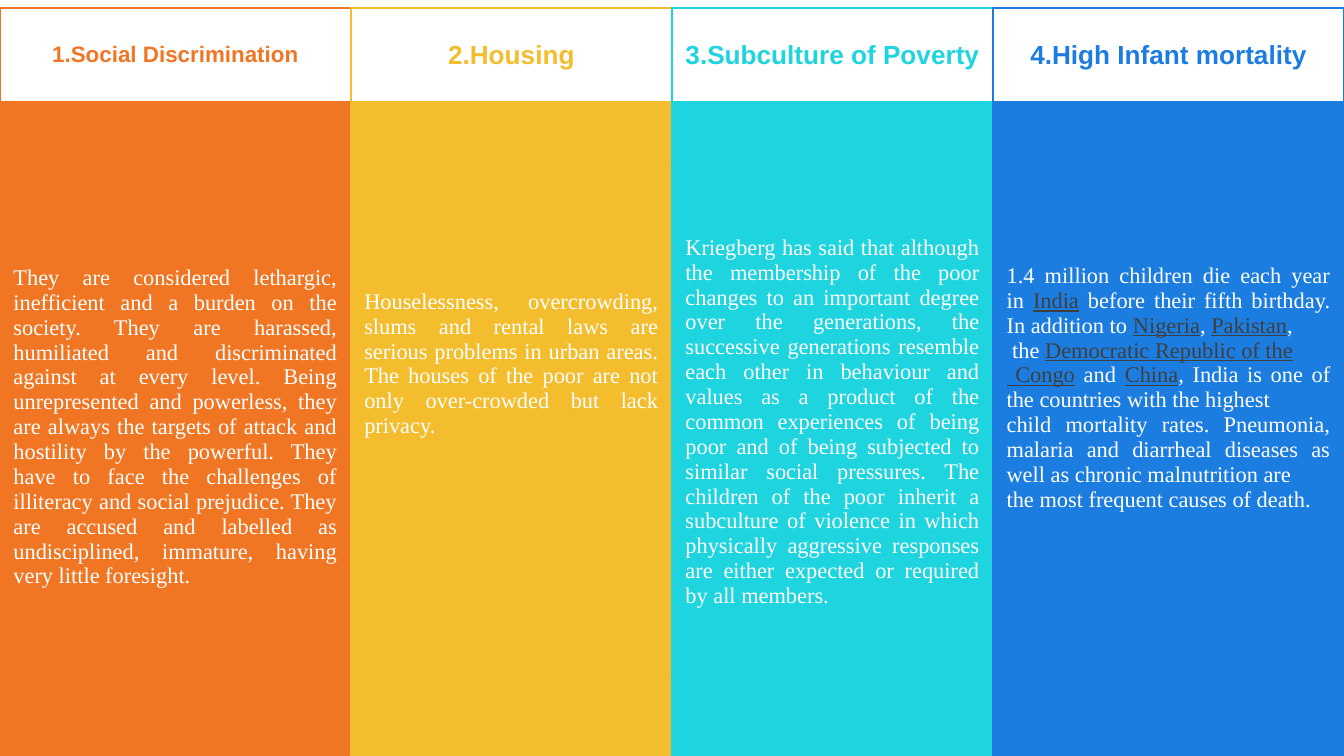
from lxml import etree
from pptx import Presentation
from pptx import util as u
from pptx.dml.color import RGBColor
from pptx.enum import text
from pptx.oxml.ns import qn

THEME = {
    "heading_font": "Arial",
    "body_font": "Times New Roman",
    "body_size": 12,
    "body_color": "FFFFFF",
    "link_color": "3F3F3F",
    "border_width": 1.5,
}

# Content: a body is a list of paragraphs, a paragraph is a list of (words, is_link).
# Heights in cm are the blank band above the text and the text row itself.
CAUSES = [
    {
        "heading": "1.Social Discrimination", "heading_size": 12,
        "color": "F07624", "width": 6.63, "band": 1.19, "text": 9.91,
        "body": [[(
            "They are considered lethargic, inefficient and a burden on the society. "
            "They are harassed, humiliated and discriminated against at every level. "
            "Being unrepresented and powerless, they are always the targets of attack "
            "and hostility by the powerful. They have to face the challenges of "
            "illiteracy and social prejudice. They are accused and labelled as "
            "undisciplined, immature, having very little foresight.", False)]],
    },
    {
        "heading": "2.Housing", "heading_size": 14,
        "color": "F4BD2D", "width": 6.07, "band": 2.97, "text": 3.96,
        "body": [[(
            "Houselessness, overcrowding, slums and rental laws are serious problems "
            "in urban areas. The houses of the poor are not only over-crowded but "
            "lack privacy.", False)]],
    },
    {
        "heading": "3.Subculture of Poverty", "heading_size": 14,
        "color": "1ED4DE", "width": 6.07, "band": 1.22, "text": 9.65,
        "body": [[(
            "Kriegberg has said that although the membership of the poor changes to an "
            "important degree over the generations, the successive generations resemble "
            "each other in behaviour and values as a product of the common experiences "
            "of being poor and of being subjected to similar social pressures. The "
            "children of the poor inherit a subculture of violence in which physically "
            "aggressive responses are either expected or required by all members.", False)]],
    },
    {
        "heading": "4.High Infant mortality", "heading_size": 14,
        "color": "1C7DE1", "width": 6.63, "band": 1.96, "text": 6.88,
        "body": [
            [("1.4 million children die each year in ", False), ("India", True),
             (" before their fifth birthday. In addition to ", False),
             ("Nigeria", True), (", ", False), ("Pakistan", True), (",", False)],
            [(" the ", False), ("Democratic Republic of the", True)],
            [(" Congo", True), (" and ", False), ("China", True),
             (", India is one of the countries with the highest ", False)],
            [("child mortality rates. Pneumonia, malaria and diarrheal diseases "
              "as well as chronic malnutrition are ", False)],
            [("the most frequent causes of death.", False)],
        ],
    },
]

SLIDE_WIDTH, SLIDE_HEIGHT = 25.4, 14.29
TOP, HEADING_HEIGHT = 0.15, 1.78


def rgb(color):
    return RGBColor.from_string(color)


def set_borders(cell, color):
    """Draw all four borders; they must come before the fill in the XML."""
    properties = cell._tc.get_or_add_tcPr()
    for position, side in enumerate(("a:lnL", "a:lnR", "a:lnT", "a:lnB")):
        line = etree.Element(qn(side), w=str(u.Pt(THEME["border_width"])))
        solid = etree.SubElement(line, qn("a:solidFill"))
        etree.SubElement(solid, qn("a:srgbClr"), val=color)
        properties.insert(position, line)


def write(cell, paragraphs, font, size, color, alignment, bold=False):
    cell.vertical_anchor = text.MSO_ANCHOR.MIDDLE
    for index, pieces in enumerate(paragraphs):
        frame = cell.text_frame
        paragraph = frame.add_paragraph() if index else frame.paragraphs[0]
        paragraph.alignment = alignment
        paragraph.font.name = font
        paragraph.font.size = u.Pt(size)
        paragraph.font.bold = bold
        paragraph.font.color.rgb = rgb(color)
        for words, is_link in pieces:
            run = paragraph.add_run()
            run.text = words
            if is_link:
                run.font.underline = True
                run.font.color.rgb = rgb(THEME["link_color"])


def add_cause(slide, cause, left):
    heights = [HEADING_HEIGHT, cause["band"], cause["text"]]
    heights.append(SLIDE_HEIGHT - TOP - sum(heights))
    column = slide.shapes.add_table(
        len(heights), 1, u.Cm(left), u.Cm(TOP),
        u.Cm(cause["width"]), u.Cm(SLIDE_HEIGHT - TOP)).table
    column.first_row = column.horz_banding = False

    # Row heights, fills and borders
    for index, height in enumerate(heights):
        column.rows[index].height = u.Cm(height)
        cell = column.cell(index, 0)
        if index == 0:
            cell.fill.background()
        else:
            cell.fill.solid()
            cell.fill.fore_color.rgb = rgb(cause["color"])
        set_borders(cell, cause["color"])

    # Heading and body text
    write(column.cell(0, 0), [[(cause["heading"], False)]], THEME["heading_font"],
          cause["heading_size"], cause["color"], text.PP_ALIGN.CENTER, bold=True)
    write(column.cell(2, 0), cause["body"], THEME["body_font"],
          THEME["body_size"], THEME["body_color"], text.PP_ALIGN.JUSTIFY)


def main():
    deck = Presentation()
    deck.slide_width, deck.slide_height = u.Cm(SLIDE_WIDTH), u.Cm(SLIDE_HEIGHT)
    slide = deck.slides.add_slide(deck.slide_layouts[6])

    # Columns side by side across the slide
    left = 0
    for cause in CAUSES:
        add_cause(slide, cause, left)
        left += cause["width"]
    deck.save("out.pptx")


if __name__ == "__main__":
    main()
